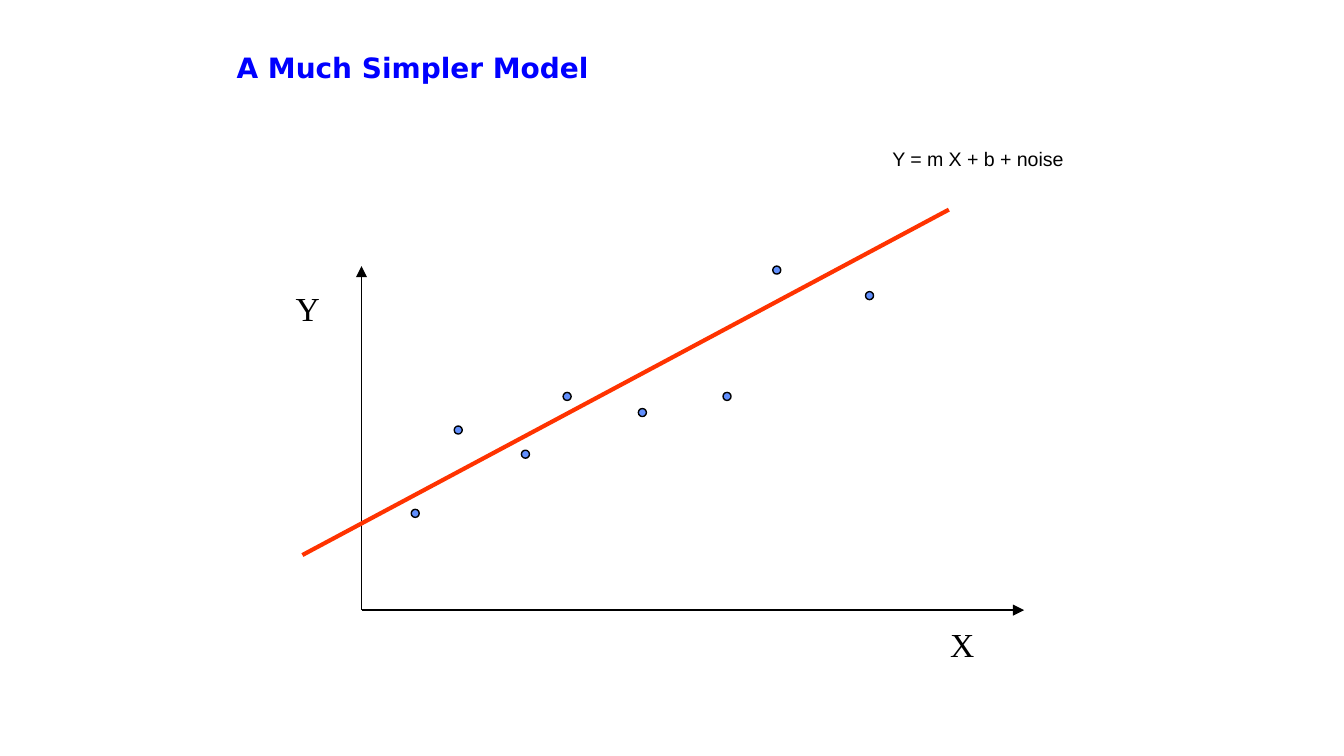
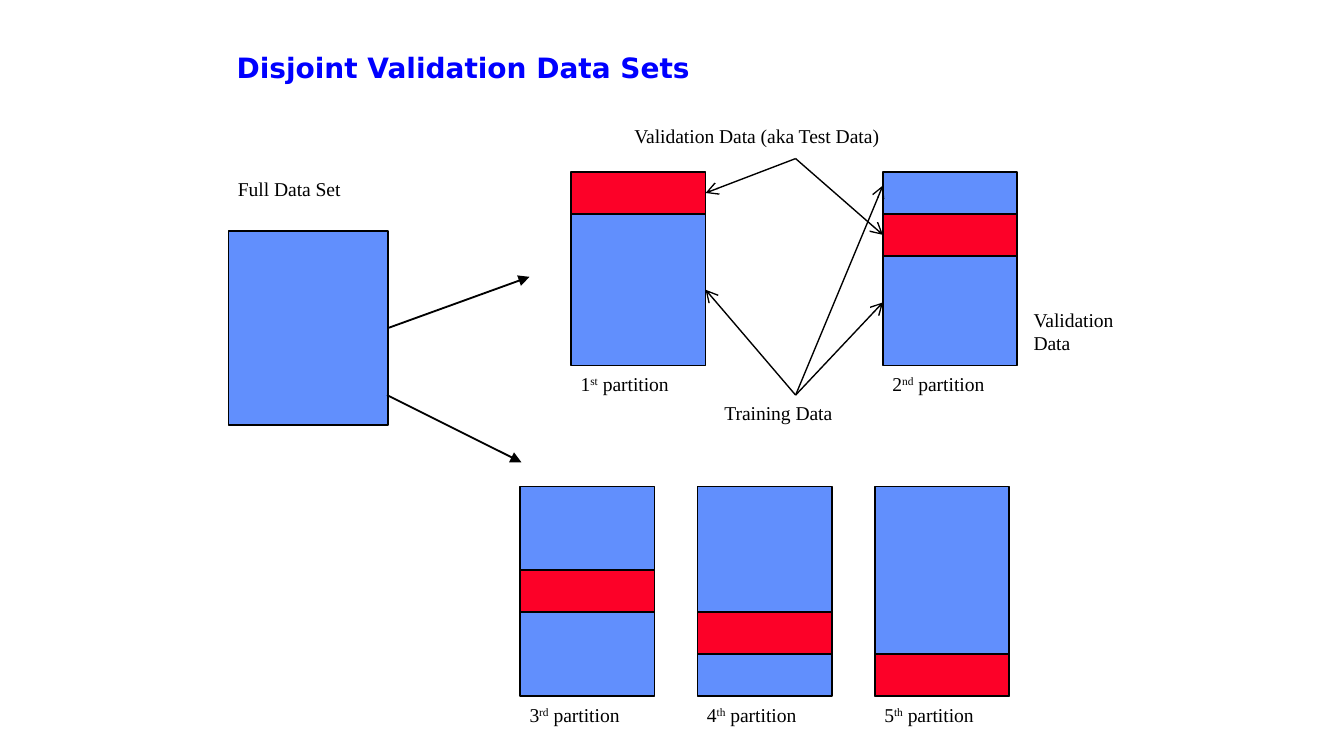
from lxml.etree import SubElement
from pptx import Presentation
from pptx.dml.color import RGBColor
from pptx.enum.shapes import MSO_CONNECTOR, MSO_SHAPE
from pptx.enum.text import MSO_ANCHOR
from pptx.oxml.ns import qn
from pptx.util import Inches, Pt

# Shared look
SLIDE_WIDTH = 10
SLIDE_HEIGHT = SLIDE_WIDTH * 9 / 16
BLACK = RGBColor(0x00, 0x00, 0x00)
TITLE_BLUE = RGBColor(0x00, 0x00, 0xFF)
DATA_BLUE = RGBColor(0x61, 0x8F, 0xFD)
VALIDATION_RED = RGBColor(0xFC, 0x01, 0x28)
FIT_RED = RGBColor(0xFF, 0x33, 0x00)
SERIF, SANS, TITLE_FONT = "Times New Roman", "Arial", "DejaVu Sans"
LABEL_SIZE = 10.5
RIGHT, LEFT = 3, 1

# Content of the model slide
MODEL_TITLE = "A Much Simpler Model"
ORIGIN = (2.69, 4.54)
AXIS_ENDS = [(2.69, 1.98), (7.62, 4.54)]
AXIS_NAMES = [("X", 7, 4.6), ("Y", 2.13, 2.1)]
FIT_LINE = ((2.25, 4.13), (7.06, 1.56))
FORMULA = "Y = m X + b + noise"
DOT = 0.06
OBSERVATIONS = [(3.06, 3.79), (3.38, 3.17), (3.88, 3.35), (4.19, 2.92),
                (4.75, 3.04), (5.38, 2.92), (5.75, 1.98), (6.44, 2.17)]

# Content of the validation slide
VALIDATION_TITLE = "Disjoint Validation Data Sets"
ORDINALS = ["st", "nd", "rd", "th", "th"]
PARTITION_WIDTH = 1
BAND = 1.56 / len(ORDINALS)
LOWER_LEFT, LOWER_STEP = 3.87, 1.32
# left, top, bottom of each partition
PARTITIONS = [(4.25, 1.28, 2.72), (6.57, 1.28, 2.72)] + [
    (LOWER_LEFT + i * LOWER_STEP, 3.62, 5.18) for i in range(3)]
# lines, left, top, width, height, wrap
NOTES = [
    (["Full Data Set"], 1.7, 1.28, 0.92, 0.25, False),
    (["Training Data"], 5.32, 2.94, 0.97, 0.25, False),
    (["Validation Data (aka Test Data)"], 4.65, 0.88, 2.54, 0.25, True),
    (["Validation", "Data"], 7.62, 2.25, 0.8, 0.43, False),
]
VALIDATION_POINT, TRAINING_POINT = (5.92, 1.18), (5.92, 2.94)


def add_text(slide, lines, left, top, width, height, size=LABEL_SIZE,
             face=SERIF, color=BLACK, bold=False, wrap=False):
    """Each line is a list of (text, is_superscript) pairs or a string."""
    box = slide.shapes.add_textbox(*map(Inches, (left, top, width, height)))
    frame = box.text_frame
    frame.word_wrap = wrap
    frame.margin_left = frame.margin_right = Inches(0.07)
    frame.margin_top = frame.margin_bottom = Inches(0.04)
    for i, line in enumerate(lines):
        paragraph = frame.add_paragraph() if i else frame.paragraphs[0]
        font = paragraph.font
        font.size, font.name, font.bold = Pt(size), face, bold
        font.color.rgb = color
        for text, raised in [(line, False)] if isinstance(line, str) else line:
            run = paragraph.add_run()
            run.text = text
            if raised:
                run._r.get_or_add_rPr().set("baseline", "30000")
    return frame


def add_block(slide, left, top, width, height, fill=DATA_BLUE,
              kind=MSO_SHAPE.RECTANGLE, weight=1):
    block = slide.shapes.add_shape(
        kind, *map(Inches, (left, top, width, height)))
    block.shadow.inherit = False
    block.fill.solid()
    block.fill.fore_color.rgb = fill
    block.line.color.rgb = BLACK
    block.line.width = Pt(weight)
    return block


def add_line(slide, start, end, weight=0.75, color=BLACK, head=None,
             begin=None, finish=None):
    """begin and finish are (block, side) pairs to join, if any."""
    line = slide.shapes.add_connector(
        MSO_CONNECTOR.STRAIGHT, *map(Inches, (*start, *end)))
    line.line.color.rgb = color
    line.line.width = Pt(weight)
    properties = line._element.spPr
    if head:
        SubElement(properties.find(qn("a:ln")), qn("a:tailEnd"), type=head)
    SubElement(properties, qn("a:effectLst"))
    if begin:
        line.begin_connect(*begin)
    if finish:
        line.end_connect(*finish)


def add_titled_slide(deck, title):
    slide = deck.slides.add_slide(deck.slide_layouts[6])
    frame = add_text(slide, [title], 1.69, 0.25, 6.38, 0.5, 15,
                     TITLE_FONT, TITLE_BLUE, bold=True, wrap=True)
    frame.vertical_anchor = MSO_ANCHOR.MIDDLE
    return slide


def build_model(deck):
    slide = add_titled_slide(deck, MODEL_TITLE)
    for axis_end in AXIS_ENDS:
        add_line(slide, ORIGIN, axis_end, head="triangle")
    for left, top in OBSERVATIONS:
        add_block(slide, left, top, DOT, DOT, kind=MSO_SHAPE.OVAL, weight=0.75)
    for name, left, top in AXIS_NAMES:
        add_text(slide, [name], left, top, 0.33, 0.38, size=18)
    add_line(slide, *FIT_LINE, weight=2.25, color=FIT_RED)
    add_text(slide, [FORMULA], 6.57, 1.05, 1.57, 0.25, face=SANS, wrap=True)


def build_validation(deck):
    slide = add_titled_slide(deck, VALIDATION_TITLE)
    full_set = add_block(slide, 1.7, 1.72, 1.19, 1.44)

    # Partitions, each with its validation band one step lower
    training, validation = [], []
    for i, (left, top, bottom) in enumerate(PARTITIONS):
        blue_top = top if i else top + BAND
        training.append(add_block(slide, left, blue_top, PARTITION_WIDTH,
                                  bottom - blue_top))
        validation.append(add_block(slide, left, top + i * BAND,
                                    PARTITION_WIDTH, BAND, VALIDATION_RED))
        label = [(str(i + 1), False), (ORDINALS[i], True),
                 (" partition", False)]
        add_text(slide, [label], left, bottom + 0.01, 0.84, 0.25)

    for lines, left, top, width, height, wrap in NOTES:
        add_text(slide, lines, left, top, width, height, wrap=wrap)

    # Arrows from the full set to the partitions
    add_line(slide, (2.89, 2.44), (3.94, 2.06), 1, head="triangle",
             begin=(full_set, RIGHT))
    add_line(slide, (2.88, 2.94), (3.88, 3.44), 1, head="triangle")

    # Arrows from the notes to the parts they name
    for start, end, target in [
        (VALIDATION_POINT, (5.25, 1.44), (validation[0], RIGHT)),
        (VALIDATION_POINT, (6.57, 1.75), (validation[1], LEFT)),
        (TRAINING_POINT, (5.25, 2.16), (training[0], RIGHT)),
        (TRAINING_POINT, (6.57, 2.25), None),
        (TRAINING_POINT, (6.57, 1.38), None),
    ]:
        add_line(slide, start, end, head="arrow", finish=target)


def main():
    deck = Presentation()
    deck.slide_width = Inches(SLIDE_WIDTH)
    deck.slide_height = Inches(SLIDE_HEIGHT)
    build_model(deck)
    build_validation(deck)
    deck.save("out.pptx")


if __name__ == "__main__":
    main()
